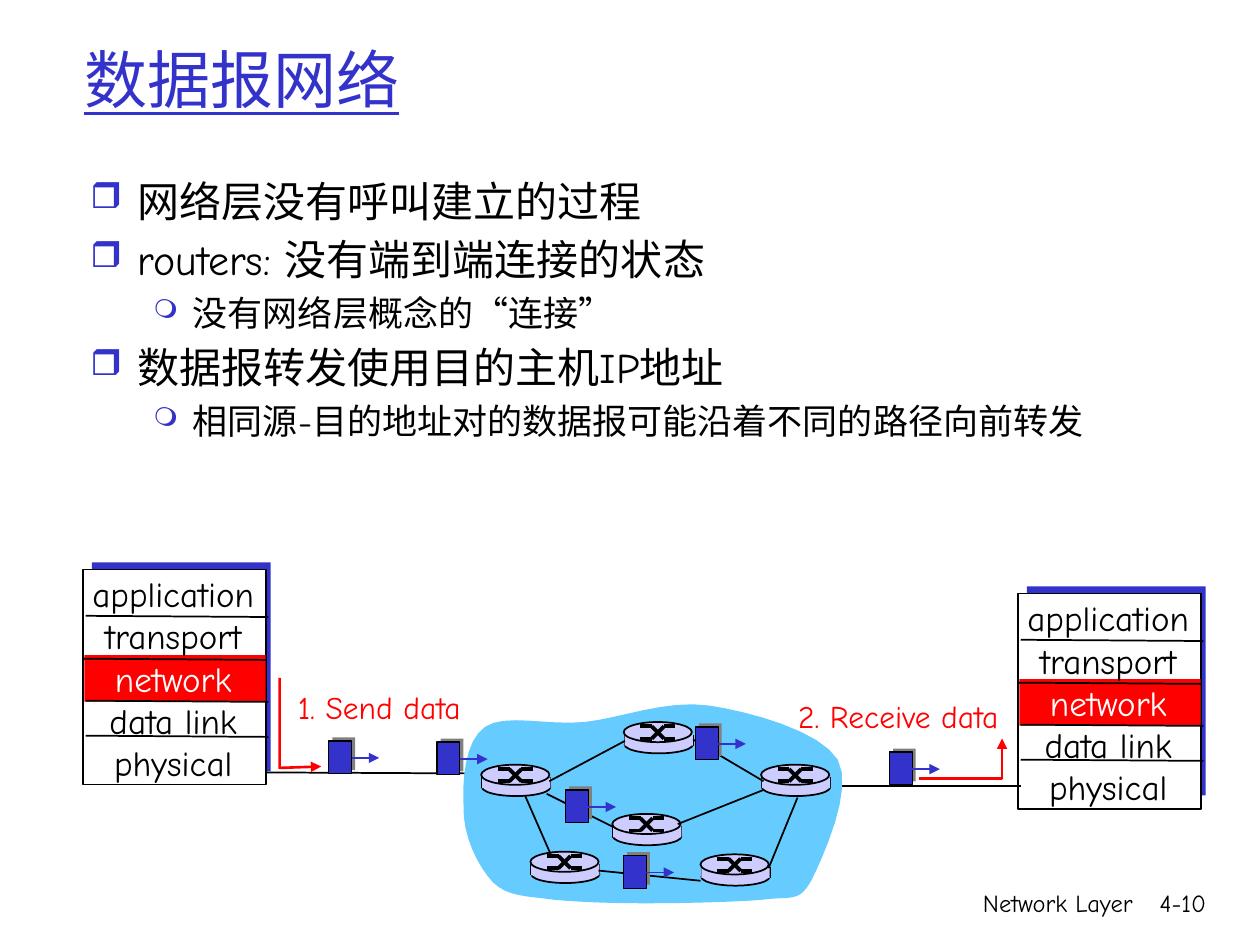
import lxml.etree
import pptx
import pptx.dml.color
import pptx.enum.shapes
import pptx.enum.text
import pptx.oxml.ns
import pptx.util

Pt = pptx.util.Pt
RGBColor = pptx.dml.color.RGBColor
qn = pptx.oxml.ns.qn
SHAPE = pptx.enum.shapes.MSO_SHAPE
ALIGN = pptx.enum.text.PP_ALIGN
ANCHOR = pptx.enum.text.MSO_ANCHOR
STRAIGHT = pptx.enum.shapes.MSO_CONNECTOR.STRAIGHT

BLACK = RGBColor(0x00, 0x00, 0x00)
WHITE = RGBColor(0xFF, 0xFF, 0xFF)
BLUE = RGBColor(0x33, 0x33, 0xCC)
RED = RGBColor(0xFF, 0x00, 0x00)
GRAY = RGBColor(0x80, 0x80, 0x80)
SKY = RGBColor(0x66, 0xCC, 0xFF)
LAVENDER = RGBColor(0xCC, 0xCC, 0xFF)
FONT = "Comic Neue"

LAYERS = ["application", "transport", "network", "data link", "physical"]
BULLETS = [
    (0, "网络层没有呼叫建立的过程"),
    (0, "routers: 没有端到端连接的状态"),
    (1, "没有网络层概念的“连接”"),
    (0, "数据报转发使用目的主机IP地址"),
    (1, "相同源-目的地址对的数据报可能沿着不同的路径向前转发"),
]
BULLET_STYLES = [("❒", 27, 27, 85, 24), ("❍", 58.5, 22.5, 75, 20)]
CLOUD_START = (0.7, 60.5)
CLOUD_CURVES = [
    ((0, 46.1), (1.4, 23.8), (13, 15.8)),
    ((24.5, 7.9), (48.2, 15.1), (69.8, 13)),
    ((90.7, 10.8), (116.6, 0), (141.1, 3.6)),
    ((164.9, 7.2), (204.5, 18), (214.6, 34.6)),
    ((223.9, 51.1), (205.9, 90.7), (199.4, 103.7)),
    ((192.2, 116.6), (187.9, 112.3), (172.1, 114.5)),
    ((156.2, 115.9), (124.6, 116.6), (105.1, 116.6)),
    ((85, 116.6), (66.2, 115.9), (51.8, 114.5)),
    ((36.7, 112.3), (25.9, 113), (17.3, 104.4)),
    ((9.4, 95.8), (0, 78.5), CLOUD_START),
]
ROUTERS = [(10.8, 37.4), (38.9, 87.1), (92.2, 13), (85.7, 65.5), (136.1, 88.6), (170.7, 37.4)]
LINKS = [
    (49.7, 46.8, 92.9, 23.8), (131.8, 23, 172.1, 46.8), (48.2, 54, 85.7, 72.7),
    (123.1, 71.3, 172.1, 51.8), (175, 96.5, 191.5, 56.2), (136.1, 103.7, 77.8, 97.9),
    (50.8, 89.3, 36, 55.4),
]
NETWORK_PACKETS = [(-14.4, 24.5), (133.2, 15.8), (92.2, 89.3), (59, 51.8)]


def add_arrowhead(shape):
    """Put a triangle at the end of a line."""
    outline = shape.element.spPr.find(qn("a:ln"))
    lxml.etree.SubElement(outline, qn("a:tailEnd"), type="triangle")


def add_line(shapes, x1, y1, x2, y2, color=BLACK, width=1, arrow=False):
    """Draw a straight line between two points."""
    line = shapes.add_connector(STRAIGHT, Pt(x1), Pt(y1), Pt(x2), Pt(y2))
    line.line.color.rgb = color
    line.line.width = Pt(width)
    if arrow:
        add_arrowhead(line)
    lxml.etree.SubElement(line.element.spPr, qn("a:effectLst"))


def add_block(shapes, kind, left, top, width, height, fill, line_width=None):
    """Draw a filled shape, outlined in black when a line width is given."""
    shape = shapes.add_shape(kind, Pt(left), Pt(top), Pt(width), Pt(height))
    shape.shadow.inherit = False
    shape.fill.solid()
    shape.fill.fore_color.rgb = fill
    if line_width:
        shape.line.color.rgb = BLACK
        shape.line.width = Pt(line_width)
    else:
        shape.line.fill.background()


def add_path(shapes, points, close):
    """Build a freeform through the points."""
    corners = [(Pt(x), Pt(y)) for x, y in points]
    builder = shapes.build_freeform(*corners[0])
    builder.add_line_segments(corners[1:], close=close)
    shape = builder.convert_to_shape()
    shape.shadow.inherit = False
    return shape


def add_route(shapes, points):
    """Draw a red bent arrow."""
    route = add_path(shapes, points, False)
    route.fill.background()
    route.line.color.rgb = RED
    route.line.width = Pt(1.5)
    add_arrowhead(route)


def add_text(shapes, box, lines, size, color=BLACK, align=ALIGN.LEFT, wrap=True):
    """Add a text box and return its text frame."""
    frame = shapes.add_textbox(*map(Pt, box)).text_frame
    frame.word_wrap = wrap
    frame.text = "\n".join(lines)
    for paragraph in frame.paragraphs:
        paragraph.alignment = align
        paragraph.font.size = Pt(size)
        paragraph.font.name = FONT
        paragraph.font.color.rgb = color
    return frame


def add_bullets(shapes, box):
    """Add the two-level bullet list."""
    frame = add_text(shapes, box, [text for level, text in BULLETS], 24)
    for index, (level, text) in enumerate(BULLETS):
        mark, margin, hang, percent, size = BULLET_STYLES[level]
        paragraph = frame.paragraphs[index]
        properties = paragraph._p.get_or_add_pPr()
        properties.set("marL", str(Pt(margin)))
        properties.set("indent", str(-Pt(hang)))
        bullets = [lxml.etree.Element(qn("a:buClr")),
                   lxml.etree.Element(qn("a:buSzPct"), val=str(percent * 1000)),
                   lxml.etree.Element(qn("a:buChar"), char=mark)]
        lxml.etree.SubElement(bullets[0], qn("a:srgbClr"), val=str(BLUE))
        for position, bullet in enumerate(bullets):
            properties.insert(position, bullet)
        paragraph.level = level
        paragraph.font.size = Pt(size)
        if index:
            paragraph.space_before = Pt(size * 0.2)


def add_host(slide, left, top):
    """Draw a protocol stack with its network layer highlighted."""
    shapes = slide.shapes.add_group_shape().shapes
    add_block(shapes, SHAPE.RECTANGLE, left + 5, top - 4, 102.2, 119.5, BLUE)
    add_block(shapes, SHAPE.RECTANGLE, left, top, 104.4, 123, WHITE, 1)
    add_block(shapes, SHAPE.RECTANGLE, left + 0.7, top + 49, 103.7, 26.6, RED)
    box = (left - 10, top - 1.5, 123, 127.4)
    frame = add_text(shapes, box, LAYERS, 20, align=ALIGN.CENTER)
    frame.paragraphs[LAYERS.index("network")].font.color.rgb = WHITE
    for shift, offset in [(0, 51), (1.5, 75), (1.5, 95), (1.5, 26.5)]:
        x, y = left + shift, top + offset
        add_line(shapes, x, y, x + 104.4, y + 0.7)


def add_packet(shapes, left, top):
    """Draw a datagram moving right."""
    add_block(shapes, SHAPE.RECTANGLE, left + 2, top - 2, 13, 18.7, GRAY)
    add_block(shapes, SHAPE.RECTANGLE, left, top, 13, 18.7, BLUE, 0.75)
    add_line(shapes, left + 13, top + 9.7, left + 28.8, top + 9.7, BLUE, 0.75, True)


def add_router(shapes, left, top):
    """Draw a router as a flat cylinder with a crossing mark."""
    add_block(shapes, SHAPE.OVAL, left + 0.5, top + 7.9, 39, 10, LAVENDER, 1)
    for x in (left + 0.5, left + 39.5):
        add_line(shapes, x, top + 7.2, x, top + 13.5)
    add_block(shapes, SHAPE.RECTANGLE, left + 0.5, top + 7.2, 39, 6.3, LAVENDER)
    add_block(shapes, SHAPE.OVAL, left, top, 39, 11.5, LAVENDER, 1)
    for start, end in [(top + 2.5, top + 9.5), (top + 9.5, top + 2.5)]:
        add_line(shapes, left + 9.5, start, left + 16.2, start, width=2.25)
        add_line(shapes, left + 23, end, left + 29.5, end, width=2.25)
        add_line(shapes, left + 16, start, left + 23, end, width=2.25)


def add_network(slide, left, top):
    """Draw the cloud with its routers, links and datagrams."""
    shapes = slide.shapes.add_group_shape().shapes
    points = [CLOUD_START]
    for first, second, end in CLOUD_CURVES:
        start = points[-1]
        for t in (step / 8 for step in range(1, 9)):
            weights = ((1 - t) ** 3, 3 * t * (1 - t) ** 2, 3 * t * t * (1 - t), t ** 3)
            curve = (start, first, second, end)
            points.append(tuple(sum(w * p[axis] for w, p in zip(weights, curve))
                                for axis in (0, 1)))
    cloud = add_path(shapes, [(left + x, top + y) for x, y in points], True)
    cloud.fill.solid()
    cloud.fill.fore_color.rgb = SKY
    cloud.line.fill.background()
    for x, y in ROUTERS:
        add_router(shapes, left + x, top + y)
    for x1, y1, x2, y2 in LINKS:
        add_line(shapes, left + x1, top + y1, left + x2, top + y2)
    for x, y in NETWORK_PACKETS:
        add_packet(shapes, left + x, top + y)


def main():
    """Build the slide and save it."""
    presentation = pptx.Presentation()
    presentation.slide_width, presentation.slide_height = Pt(720), Pt(540)
    slide = presentation.slides.add_slide(presentation.slide_layouts[6])
    shapes = slide.shapes
    add_text(shapes, (426.2, 504, 228.2, 36), ["Network Layer"], 14, align=ALIGN.RIGHT)
    add_text(shapes, (643, 504, 53.3, 36), ["4-10"], 14, align=ALIGN.RIGHT)
    title = add_text(shapes, (41, 0, 612, 90), ["数据报网络"], 36, BLUE)
    title.vertical_anchor = ANCHOR.MIDDLE
    title.paragraphs[0].font.underline = True
    add_bullets(shapes, (44.6, 96.5, 612.7, 179.3))
    add_line(shapes, 151.2, 441.4, 275.8, 442)
    add_host(slide, 47.5, 325.4)
    add_host(slide, 581.8, 339.1)
    add_line(shapes, 583.2, 449.3, 473, 449.3)
    add_text(shapes, (157.7, 389.5, 118, 29), ["1. Send data"], 18, RED, ALIGN.CENTER, False)
    add_text(shapes, (442, 394.6, 142.6, 29), ["2. Receive data"], 18, RED, ALIGN.CENTER, False)
    add_route(shapes, [(159.8, 387.4), (159.8, 438.8), (183.6, 438)])
    add_route(shapes, [(524.9, 445), (572.6, 445), (572.6, 422)])
    add_packet(shapes.add_group_shape().shapes, 187.9, 423.4)
    add_network(slide, 264.2, 399.6)
    add_packet(shapes.add_group_shape().shapes, 508.3, 429.8)
    presentation.save("out.pptx")


if __name__ == "__main__":
    main()
